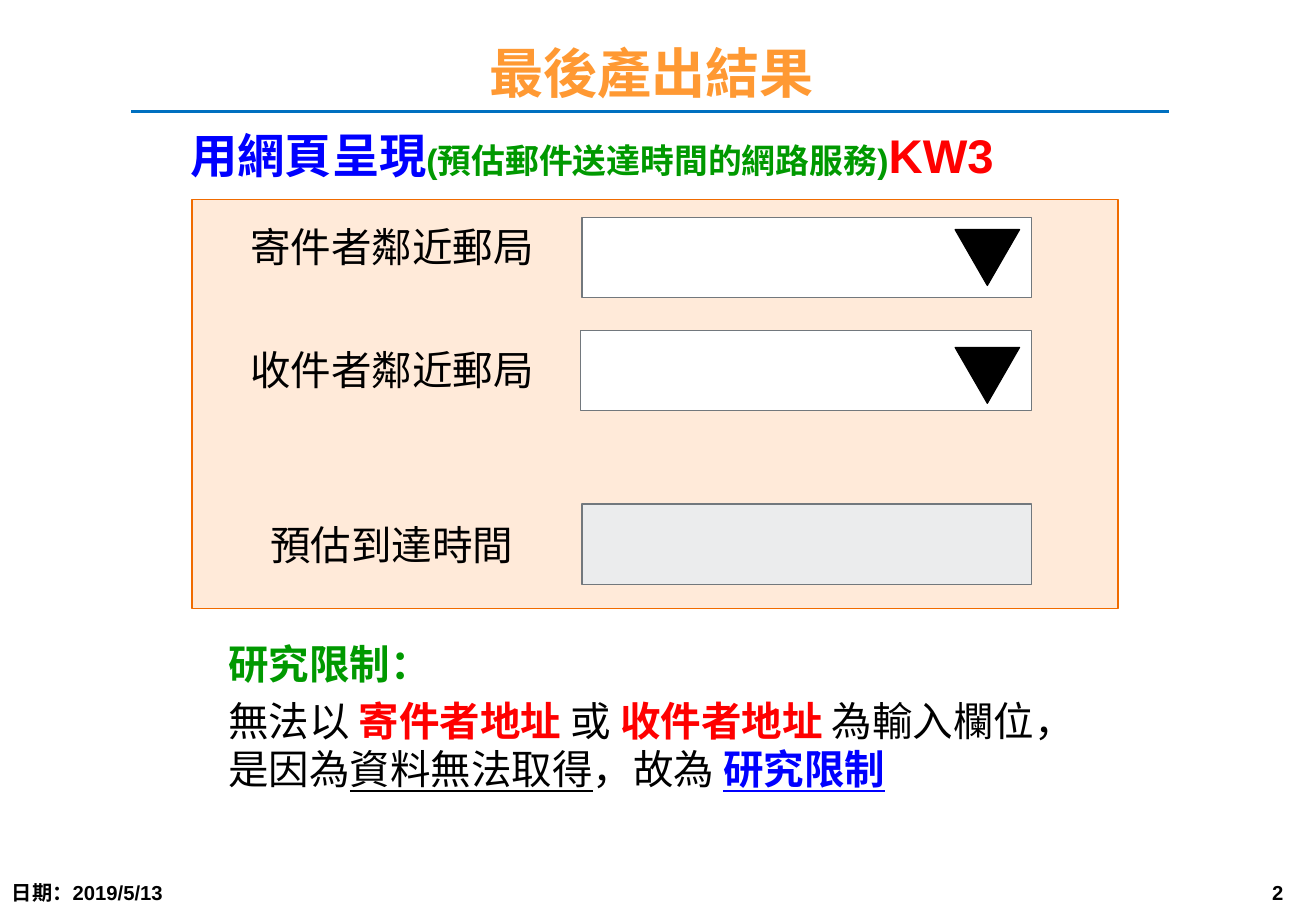
from lxml.etree import SubElement
from pptx import Presentation
from pptx.dml.color import RGBColor
from pptx.enum.shapes import MSO_CONNECTOR as CONN, MSO_SHAPE as SHAPE
from pptx.enum.text import PP_ALIGN as ALIGN
from pptx.oxml.ns import qn
from pptx.util import Inches, Pt

LATIN, ASIAN = "Arial", "Noto Sans CJK SC"
BLACK, BLUE, GREEN, RED = "000000", "0000FF", "009900", "FF0000"
GREY, ORANGE = "72787D", "F06B00"


def rgb(value):
    return RGBColor.from_string(value)


def add_run(p, text, size=24, color=BLACK, bold=False, underline=False, font=LATIN):
    r = p.add_run()
    r.text = text
    r.font.size = Pt(size)
    r.font.bold = bold
    r.font.underline = underline
    r.font.name = font
    r.font.color.rgb = rgb(color)
    SubElement(r.font._element, qn("a:ea")).set("typeface", ASIAN)


def add_text(slide, box, *paragraphs, align=ALIGN.LEFT):
    tf = slide.shapes.add_textbox(*map(Inches, box)).text_frame
    tf.word_wrap = True
    for i, runs in enumerate(paragraphs):
        p = tf.add_paragraph() if i else tf.paragraphs[0]
        p.alignment = align
        p.space_before = Pt(5 if i else 0)
        for text, style in runs:
            add_run(p, text, **style)


def add_box(slide, kind, box, fill, line, rotation=0):
    sp = slide.shapes.add_shape(kind, *map(Inches, box))
    sp.shadow.inherit = False
    sp.rotation = rotation
    sp.fill.solid()
    sp.fill.fore_color.rgb = rgb(fill)
    sp.line.color.rgb = rgb(line)
    sp.line.width = Pt(0.75)


def add_rule(slide, left, right, y, color, width):
    line = slide.shapes.add_connector(CONN.STRAIGHT, *map(Inches, (left, y, right, y)))
    line.line.color.rgb = rgb(color)
    line.line.width = Pt(width)
    SubElement(line._element.spPr, qn("a:effectLst"))


def add_field(slide, label, label_top, box, fill="FFFFFF", arrow_top=None, font=LATIN):
    add_text(slide, (1.78, label_top, 2.89, 0.5), [(label, dict(font=font))],
             align=ALIGN.CENTER)
    add_box(slide, SHAPE.RECTANGLE, box, fill, GREY)
    if arrow_top is not None:
        add_box(slide, SHAPE.ISOSCELES_TRIANGLE, (7.86, arrow_top, 0.53, 0.46),
                BLACK, BLACK, rotation=180)


def main():
    prs = Presentation()
    prs.slide_width, prs.slide_height = Inches(10.83), Inches(7.5)
    slide = prs.slides.add_slide(prs.slide_layouts[6])

    footer = dict(size=12, bold=True)
    add_text(slide, (10.37, 7.2, 0.47, 0.3), [("2", footer)])
    add_text(slide, (0, 7.2, 1.81, 0.3), [("日期：2019/5/13", footer)])

    add_rule(slide, 1.08, 9.62, 0.92, "0070C0", 2)
    add_text(slide, (1.1, 0.28, 8.52, 0.64),
             [("最後產出結果", dict(size=32, color="FF9933", bold=True))],
             align=ALIGN.CENTER)
    add_text(slide, (1.47, 0.99, 7.73, 0.57), [
        ("用網頁呈現", dict(size=28, color=BLUE, bold=True)),
        ("(預估郵件送達時間的網路服務)", dict(size=20, color=GREEN, bold=True)),
        ("KW3", dict(size=28, color=RED, bold=True)),
    ])

    add_box(slide, SHAPE.RECTANGLE, (1.58, 1.64, 7.62, 3.37), "FFEAD9", ORANGE)
    add_field(slide, "寄件者鄰近郵局", 1.78, (4.79, 1.79, 3.7, 0.66), arrow_top=1.89)
    add_field(slide, "收件者鄰近郵局", 2.79, (4.78, 2.72, 3.71, 0.66), arrow_top=2.86,
              font=ASIAN)
    add_field(slide, "預估到達時間", 4.23, (4.79, 4.15, 3.7, 0.66), fill="EBECED")

    plain, key = {}, dict(color=RED, bold=True)
    add_text(
        slide, (1.78, 5.21, 7.42, 1.39),
        [("研究限制：", dict(color=GREEN, bold=True))],
        [
            ("無法以 ", plain),
            ("寄件者地址 ", key),
            ("或 ", plain),
            ("收件者地址 ", key),
            ("為輸入欄位，是因為", plain),
            ("資料無法取得", dict(underline=True)),
            ("，故為 ", plain),
            ("研究限制", dict(color=BLUE, bold=True, underline=True)),
        ],
    )
    prs.save("out.pptx")


main()
